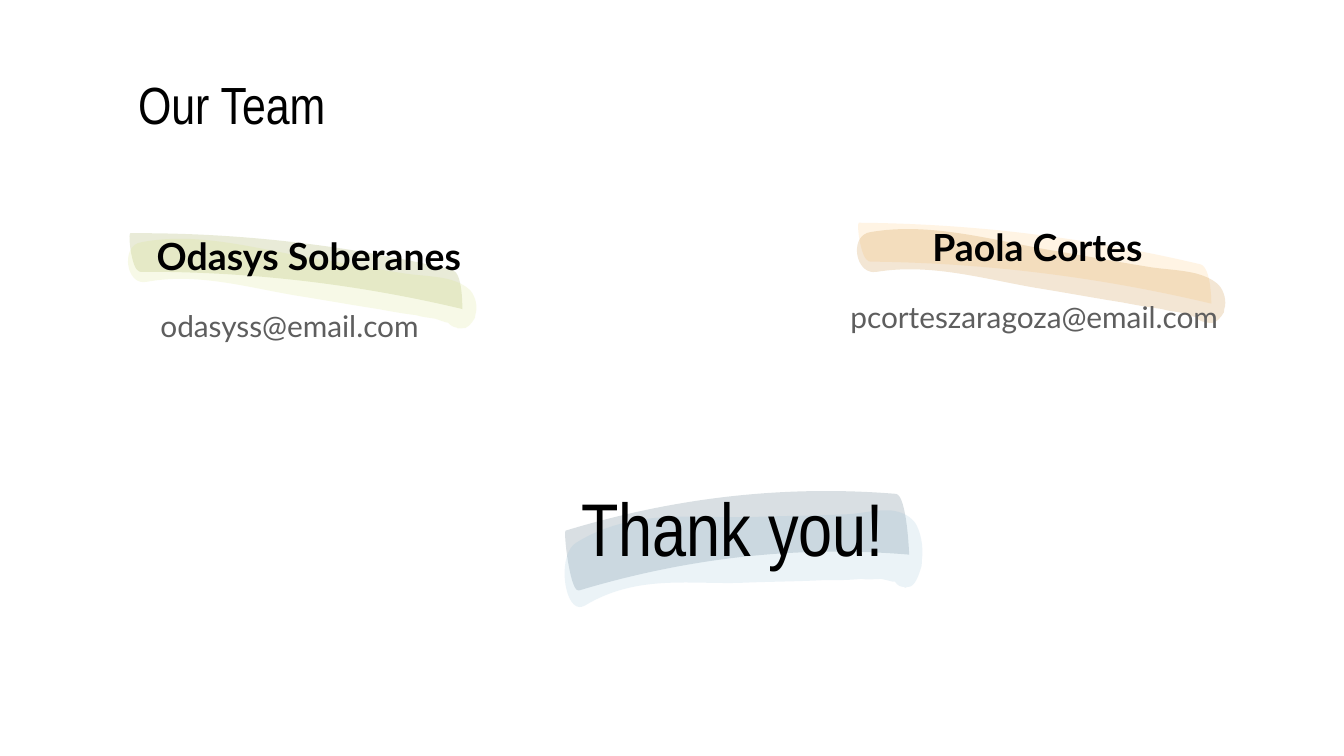
from lxml import etree
from pptx import Presentation
from pptx.dml.color import RGBColor
from pptx.enum.text import MSO_ANCHOR, PP_ALIGN
from pptx.oxml.ns import qn
from pptx.util import Cm, Pt

TOP, MIDDLE = MSO_ANCHOR.TOP, MSO_ANCHOR.MIDDLE
LEFT, CENTER = PP_ALIGN.LEFT, PP_ALIGN.CENTER

COLORS = {
    "black": "000000", "gray": "5E5E5E",
    "olive": "7D891D", "lime": "D3E171",
    "amber": "FFBF61", "brown": "B86E00",
    "navy": "20455A", "sky": "8ABAD4",
}
HEADING_FONT, BODY_FONT = "Arial Narrow", "Lato"
INSET = Cm(0.25)
STROKE_OPACITY = 17
OUTLINE_UNITS = 1000

# Outlines in thousandths of their frame: a start point, then segments of
# one point (line) or three points (cubic curve).
FLAT_STROKE = [
    [(945, 0)],
    [(626, 16), (314, 196), (7, 544)],
    [(0, 556), (36, 1000), (59, 1000)],
    [(63, 1000), (63, 1000), (63, 1000)],
    [(369, 657), (682, 477), (1000, 464)],
    [(1000, 464), (977, 6), (945, 0)],
]
ROUND_STROKE = [
    [(903, 0)],
    [(859, 1), (809, 58), (772, 68)],
    [(688, 103), (600, 128), (516, 162)],
    [(362, 217), (194, 180), (49, 496)],
    [(1, 595), (30, 998), (74, 997)],
    [(78, 996), (82, 995), (89, 982)],
    [(220, 701), (365, 734), (505, 684)],
    [(581, 652), (658, 630), (735, 597)],
    [(772, 587), (805, 577), (838, 557)],
    [(856, 563), (874, 547), (893, 542)],
    [(893, 542), (908, 548), (923, 554)],
    [(926, 553), (926, 553), (930, 552)],
    [(930, 552)],
    [(939, 581), (946, 590), (957, 587)],
    [(958, 597), (961, 596), (965, 585)],
    [(965, 585), (968, 584), (968, 584)],
    [(987, 578), (994, 481), (999, 406)],
    [(998, 364)],
    [(1000, 257), (986, 134), (969, 76)],
    [(949, 18), (926, 3), (903, 0)],
]


def rgb(color):
    return RGBColor.from_string(COLORS[color])


def write(frame, text, *, size, font=BODY_FONT, color="black", bold=False, align=CENTER):
    paragraph = frame.paragraphs[0]
    paragraph.alignment = align
    run = paragraph.add_run()
    run.text = text
    run.font.name = font
    run.font.size = Pt(size)
    run.font.bold = bold
    run.font.color.rgb = rgb(color)


def trace(freeform, outline):
    """Replace the freeform's straight edges by the lines and curves of outline."""
    geometry = freeform._element.find(".//" + qn("a:path"))
    for edge in list(geometry):
        geometry.remove(edge)
    geometry.set("w", str(OUTLINE_UNITS))
    geometry.set("h", str(OUTLINE_UNITS))
    for index, segment in enumerate(outline):
        if index == 0:
            tag = "a:moveTo"
        else:
            tag = "a:lnTo" if len(segment) == 1 else "a:cubicBezTo"
        command = etree.SubElement(geometry, qn(tag))
        for x, y in segment:
            etree.SubElement(command, qn("a:pt"), x=str(x), y=str(y))
    etree.SubElement(geometry, qn("a:close"))


class TeamSlide:
    def __init__(self, presentation):
        self.slide = presentation.slides.add_slide(presentation.slide_layouts[6])

    def text(self, box, text, anchor=MIDDLE, **style):
        frame = self.slide.shapes.add_textbox(*map(Cm, box)).text_frame
        frame.word_wrap = True
        frame.vertical_anchor = anchor
        frame.margin_left = frame.margin_right = INSET
        frame.margin_top = frame.margin_bottom = INSET
        write(frame, text, **style)

    def stroke(self, outline, box, color, angle):
        """Draw a translucent brush stroke filling box, then turn it by angle."""
        left, top, width, height = map(Cm, box)
        right, bottom = left + width, top + height
        builder = self.slide.shapes.build_freeform(left, top)
        builder.add_line_segments([(right, top), (right, bottom), (left, bottom)])
        brush = builder.convert_to_shape()
        trace(brush, outline)
        brush.rotation = angle
        brush.shadow.inherit = False
        brush.line.fill.background()
        brush.fill.solid()
        brush.fill.fore_color.rgb = rgb(color)
        hue = brush._element.spPr.find(qn("a:solidFill")).find(qn("a:srgbClr"))
        etree.SubElement(hue, qn("a:alpha"), val=str(STROKE_OPACITY * 1000))

    def highlight(self, left, top, width, height, drop, colors, angle):
        """Draw a flat stroke and a slightly longer round one, lower by drop."""
        self.stroke(FLAT_STROKE, (left, top, width, height), colors[0], angle)
        self.stroke(ROUND_STROKE, (left - 0.1, top + drop, width + 0.33, height),
                    colors[1], angle)

    def member(self, name, name_box, email, email_box):
        self.text(email_box, email, anchor=TOP, size=16, color="gray")
        self.text(name_box, name, size=20, bold=True)


def main():
    presentation = Presentation()
    presentation.slide_width, presentation.slide_height = Cm(25.4), Cm(14.29)
    team = TeamSlide(presentation)

    team.highlight(2.34, 4.39, 6.48, 1.45, 0.21, ("olive", "lime"), 13.9)
    team.highlight(16.1, 4.24, 6.88, 1.45, 0.21, ("amber", "brown"), 13.9)
    team.member("Paola Cortes", (15.65, 4.1, 7.92, 1.12),
                "pcorteszaragoza@email.com", (15.65, 5.4, 7.8, 2.51))
    team.member("Odasys Soberanes", (2.36, 4.27, 6.96, 1.12),
                "odasyss@email.com", (2.16, 5.56, 6.63, 2.51))

    team.highlight(10.64, 9.04, 6.55, 2.41, 0.33, ("navy", "sky"), 5.7)
    team.text((8.79, 9.28, 10.11, 1.35), "Thank you!", size=40, font=HEADING_FONT)
    team.text((2.36, 1.29, 10.11, 1.35), "Our Team", size=28, font=HEADING_FONT,
              align=LEFT)

    presentation.save("out.pptx")


if __name__ == "__main__":
    main()
